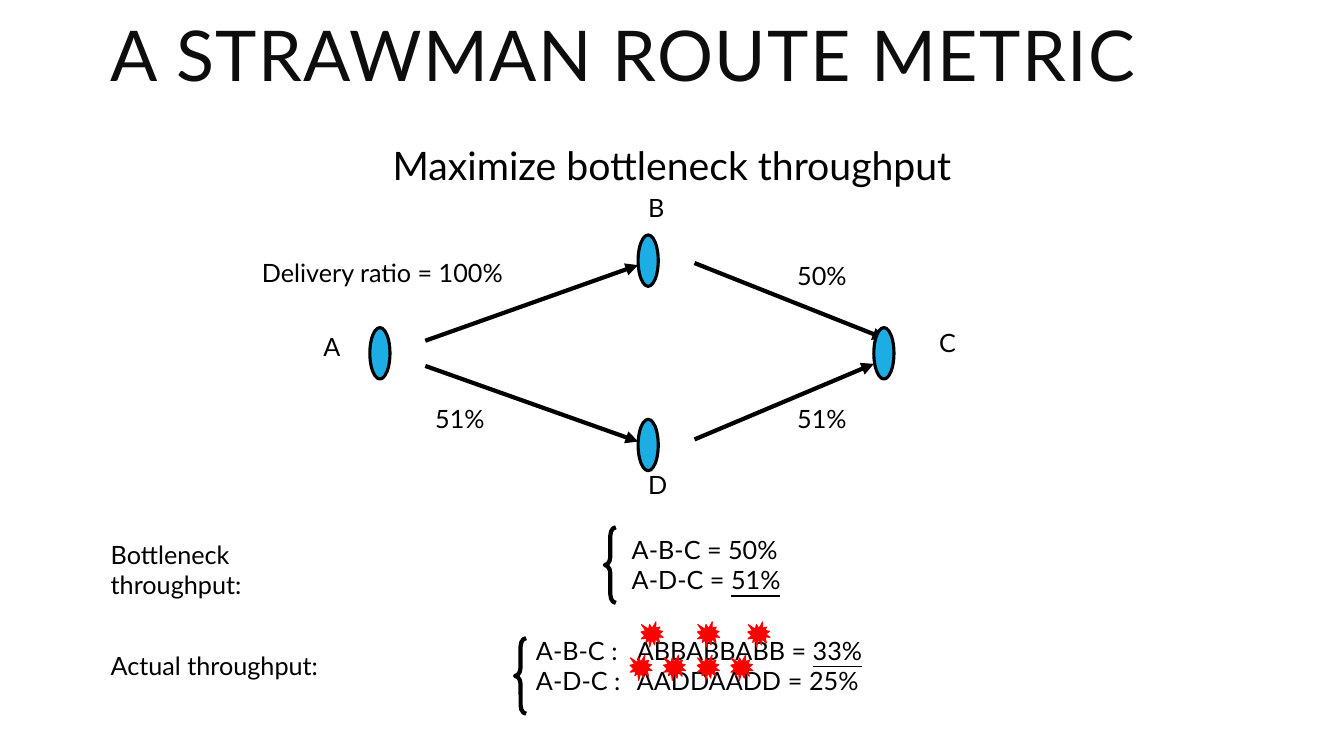
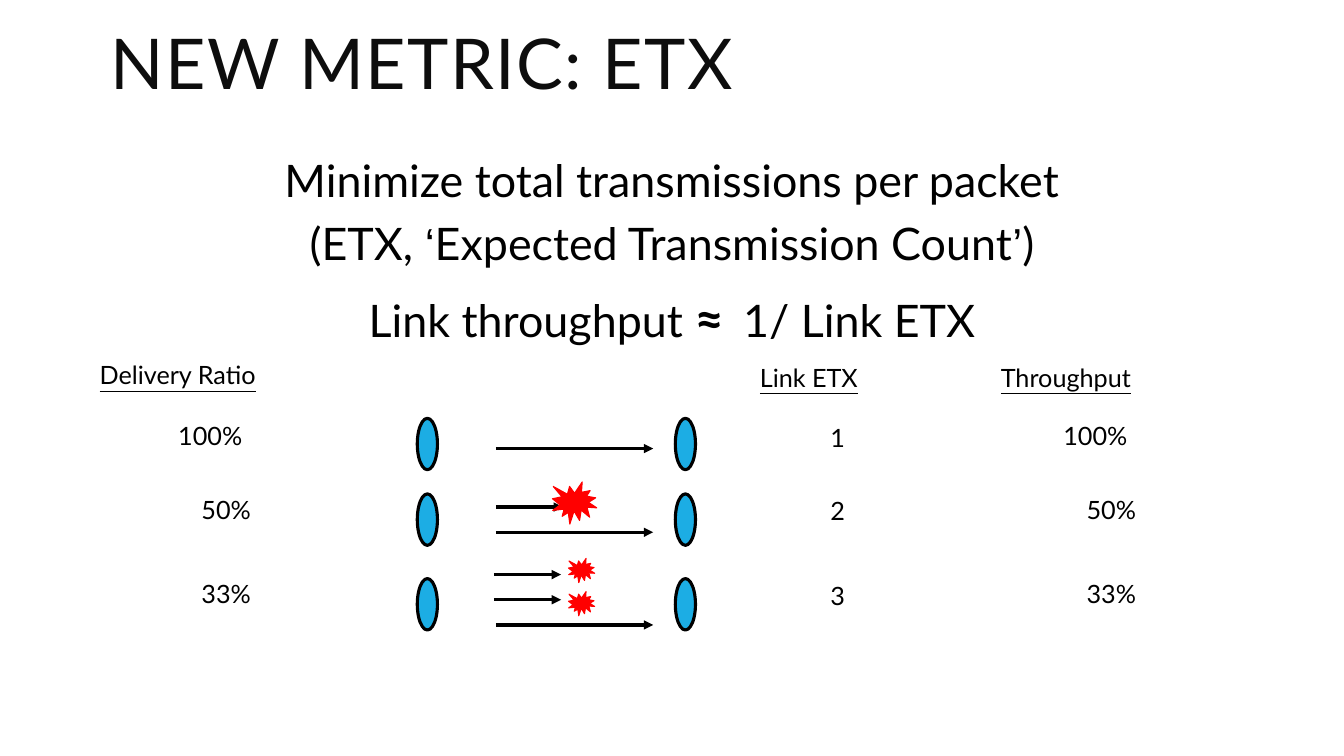
from dataclasses import dataclass

from lxml.etree import SubElement
from pptx import Presentation
from pptx.dml.color import RGBColor
from pptx.enum.shapes import MSO_CONNECTOR as Connector
from pptx.enum.shapes import MSO_SHAPE as Preset
from pptx.enum.text import MSO_ANCHOR as Anchor
from pptx.enum.text import MSO_AUTO_SIZE as AutoSize
from pptx.enum.text import PP_ALIGN as Align
from pptx.oxml.ns import qn
from pptx.util import Pt

# Shared style
BLACK = RGBColor(0x00, 0x00, 0x00)
TITLE_INK = RGBColor(0x0D, 0x0D, 0x0D)
NODE_BLUE = RGBColor(0x1C, 0xAD, 0xE4)
LOSS_RED = RGBColor(0xFF, 0x00, 0x00)
FONT, QUOTE_FONT = "Lato", "Arial"
SLIDE_W, SLIDE_H = 960, 540
MARGIN, CONTENT_W = 72, 816
NODE_W, NODE_H = 14.4, 36.7
BRACE_W, BRACE_H = 7.9, 54
LABEL_H = 29


@dataclass(frozen=True)
class Run:
    text: str
    size: float = 18
    font: str = FONT
    bold: bool = False
    underline: bool = False
    color: RGBColor = BLACK
    spacing: float = 0


@dataclass(frozen=True)
class Box:
    left: float
    top: float
    width: float
    height: float = LABEL_H

    def lengths(self) -> tuple:
        return Pt(self.left), Pt(self.top), Pt(self.width), Pt(self.height)


@dataclass(frozen=True)
class Label:
    text: str
    box: Box
    underline: bool = False


@dataclass(frozen=True)
class Link:
    x1: float
    y1: float
    x2: float
    y2: float


@dataclass(frozen=True)
class EtxRow:
    """One link quality: its figures, sending attempts and losses."""
    ratio: str
    etx: str
    ratio_left: float
    ratio_width: float
    text_top: float
    node_top: float
    attempts: tuple[Link, ...]
    losses: tuple[Box, ...]


# Text
def add_runs(paragraph, runs: list[Run]) -> None:
    for piece in runs:
        run = paragraph.add_run()
        run.text = piece.text
        font = run.font
        font.name, font.size = piece.font, Pt(piece.size)
        font.bold, font.underline = piece.bold, piece.underline
        font.color.rgb = piece.color
        if piece.spacing:
            run._r.get_or_add_rPr().set("spc", str(int(piece.spacing * 100)))


def fill_frame(frame, lines: list[list[Run]], align=Align.LEFT, wrap: bool = True,
               line_spacing: float = 1, gap: float = 0, tabs: tuple = ()) -> None:
    frame.word_wrap = wrap
    frame.auto_size = AutoSize.NONE
    frame.vertical_anchor = Anchor.TOP
    for number, runs in enumerate(lines):
        paragraph = frame.add_paragraph() if number else frame.paragraphs[0]
        properties = paragraph._p.get_or_add_pPr()
        properties.set("marL", "0")
        properties.set("indent", "0")
        paragraph.alignment = align
        paragraph.line_spacing = line_spacing
        paragraph.space_before = Pt(gap if number else 0)
        SubElement(properties, qn("a:buNone"))
        if tabs:
            stops = SubElement(properties, qn("a:tabLst"))
            for stop in tabs:
                SubElement(stops, qn("a:tab"), pos=str(Pt(stop)), algn="l")
        add_runs(paragraph, runs)


def add_text(slide, box: Box, lines: list[list[Run]], **options) -> None:
    fill_frame(slide.shapes.add_textbox(*box.lengths()).text_frame, lines, **options)


def add_label(slide, label: Label) -> None:
    add_text(slide, label.box, [[Run(label.text, underline=label.underline)]], wrap=False)


def place(placeholder, box: Box) -> None:
    (placeholder.left, placeholder.top,
     placeholder.width, placeholder.height) = box.lengths()


def start_slide(deck, title: str, title_top: float, body_box: Box,
                body: list[list[Run]], **options):
    slide = deck.slides.add_slide(deck.slide_layouts[1])
    heading, statement = slide.placeholders[0], slide.placeholders[1]
    place(heading, Box(MARGIN, title_top, CONTENT_W, 90))
    fill_frame(heading.text_frame, [[Run(title, 50, color=TITLE_INK, spacing=1)]],
               line_spacing=0.8)
    place(statement, body_box)
    fill_frame(statement.text_frame, body, align=Align.CENTER, **options)
    return slide


# Drawing
def add_preset(slide, preset, box: Box, fill: RGBColor | None,
               line: RGBColor, weight: float):
    shape = slide.shapes.add_shape(preset, *box.lengths())
    shape.shadow.inherit = False
    if fill is None:
        shape.fill.background()
    else:
        shape.fill.solid()
        shape.fill.fore_color.rgb = fill
    shape.line.color.rgb = line
    shape.line.width = Pt(weight)
    return shape


def add_node(slide, left: float, top: float) -> None:
    add_preset(slide, Preset.OVAL, Box(left, top, NODE_W, NODE_H), NODE_BLUE, BLACK, 2.25)


def add_loss(slide, box: Box) -> None:
    add_preset(slide, Preset.EXPLOSION1, box, LOSS_RED, LOSS_RED, 0.75)


def add_brace(slide, left: float, top: float) -> None:
    brace = add_preset(slide, Preset.LEFT_BRACE, Box(left, top, BRACE_W, BRACE_H),
                       None, BLACK, 3)
    brace.adjustments[0] = 0.75


def add_arrow(slide, link: Link, weight: float) -> None:
    arrow = slide.shapes.add_connector(Connector.STRAIGHT, Pt(link.x1), Pt(link.y1),
                                       Pt(link.x2), Pt(link.y2))
    arrow.line.color.rgb = BLACK
    arrow.line.width = Pt(weight)
    SubElement(arrow.line._get_or_add_ln(), qn("a:tailEnd"), type="triangle")
    SubElement(arrow._element.spPr, qn("a:effectLst"))


# Slide 1: bottleneck throughput
NETWORK_NODES = [(264.2, 234), (455.8, 167.8), (455.8, 299.5), (624.2, 234)]
NETWORK_LINKS = [
    Link(303.8, 243.4, 455.8, 189.4),
    Link(496.1, 187.9, 632.2, 241.9),
    Link(303.8, 261.4, 455.8, 315.4),
    Link(496.1, 313.9, 624.2, 259.9),
]
NETWORK_LABELS = [
    Label("50%", Box(562.3, 182.2, 51)),
    Label("Delivery ratio = 100%", Box(180, 180, 188)),
    Label("51%", Box(303.8, 284.4, 51)),
    Label("51%", Box(562.3, 284.4, 51)),
    Label("D", Box(455.8, 331.9, 27.4)),
    Label("A", Box(223.9, 233.3, 27.4)),
    Label("B", Box(455.8, 133.9, 26.6)),
    Label("C", Box(663.8, 230.4, 27.4)),
    Label("Actual throughput:", Box(MARGIN, 460.8, 162.7)),
]
LOSS_ROWS = [(444.2, (457.9, 498.2, 534.2)), (468, (450, 474, 498, 522))]


def build_strawman(deck) -> None:
    slide = start_slide(deck, "A STRAWMAN ROUTE METRIC", 16.5,
                        Box(MARGIN, 100.8, CONTENT_W, 84),
                        [[Run("Maximize bottleneck throughput", 28)]], line_spacing=0.9)
    for link in NETWORK_LINKS:
        add_arrow(slide, link, 3)
    for left, top in NETWORK_NODES:
        add_node(slide, left, top)
    for label in NETWORK_LABELS:
        add_label(slide, label)

    # Bottleneck and actual figures
    add_text(slide, Box(MARGIN, 381.6, 120, 51), [[Run("Bottleneck throughput:")]])
    add_text(slide, Box(444.2, 378, 405.4, 51), [
        [Run("A-B-C = 50%")],
        [Run("A-D-C = "), Run("51%", underline=True)],
    ])
    add_brace(slide, 432, 376.6)
    add_text(slide, Box(375.8, 450, 496, 51), [
        [Run("A-B-C :\tABBABBABB = "), Run("33%", underline=True)],
        [Run("A-D-C :\tAADDAADD\t= 25%")],
    ], tabs=(67, 191))
    add_brace(slide, 367.9, 455.8)
    for top, lefts in LOSS_ROWS:
        for left in lefts:
            add_loss(slide, Box(left, top, 15.8, 18))


# Slide 2: expected transmission count
SENDER_LEFT, RECEIVER_LEFT = 298.1, 482.4
ETX_LEFT, THROUGHPUT_SHIFT = 586.1, 632.2
COLUMN_HEADS = [
    Label("Delivery Ratio", Box(64.1, 253.4, 127.4), True),
    Label("Link ETX", Box(535.7, 254.9, 88.6), True),
    Label("Throughput", Box(707.8, 254.9, 107.3), True),
]


def delivered(y: float) -> Link:
    return Link(354.2, y, 466.6, y)


def dropped(left: float, y: float) -> Link:
    return Link(left, y, left + 48, y)


ETX_ROWS = [
    EtxRow("100%", "1", 120.2, 61.2, 296.6, 298.8, (delivered(320.4),), ()),
    EtxRow("50%", "2", 136.8, 51, 349.2, 352.8,
           (dropped(354.2, 362.2), delivered(380.2)),
           (Box(394.6, 344.2, 31.7, 30.2),)),
    EtxRow("33%", "3", 136.8, 51, 409.7, 413.3,
           (dropped(352.8, 410.4), dropped(352.8, 428.4), delivered(446.4)),
           (Box(406.1, 398.9, 18.7, 17.3), Box(406.1, 422.6, 18.7, 17.3))),
]


def build_etx(deck) -> None:
    slide = start_slide(deck, "NEW METRIC: ETX", 21.6, Box(0, 105.8, SLIDE_W, 94), [
        [Run("Minimize total transmissions per packet", 32)],
        [Run("(ETX, ", 32), Run("‘", 32, QUOTE_FONT),
         Run("Expected Transmission Count", 32), Run("’", 32, QUOTE_FONT), Run(")", 32)],
    ], gap=6.4)
    add_text(slide, Box(0, 201.6, SLIDE_W, 50.4), [[
        Run("Link throughput ", 32), Run("≈", 36, bold=True),
        Run(" ", 32, spacing=5.5), Run("1/ Link ETX", 32),
    ]], align=Align.CENTER)
    for head in COLUMN_HEADS:
        add_label(slide, head)
    for row in ETX_ROWS:
        for left in (SENDER_LEFT, RECEIVER_LEFT):
            add_node(slide, left, row.node_top)
        for attempt in row.attempts:
            add_arrow(slide, attempt, 2.25)
        for loss in row.losses:
            add_loss(slide, loss)
        for shift in (0, THROUGHPUT_SHIFT):
            add_label(slide, Label(row.ratio, Box(row.ratio_left + shift, row.text_top,
                                                  row.ratio_width)))
        add_label(slide, Label(row.etx, Box(ETX_LEFT, row.text_top + 1.2, 24.5)))


def main() -> None:
    deck = Presentation()
    deck.slide_width, deck.slide_height = Pt(SLIDE_W), Pt(SLIDE_H)
    build_strawman(deck)
    build_etx(deck)
    deck.save("out.pptx")


if __name__ == "__main__":
    main()
